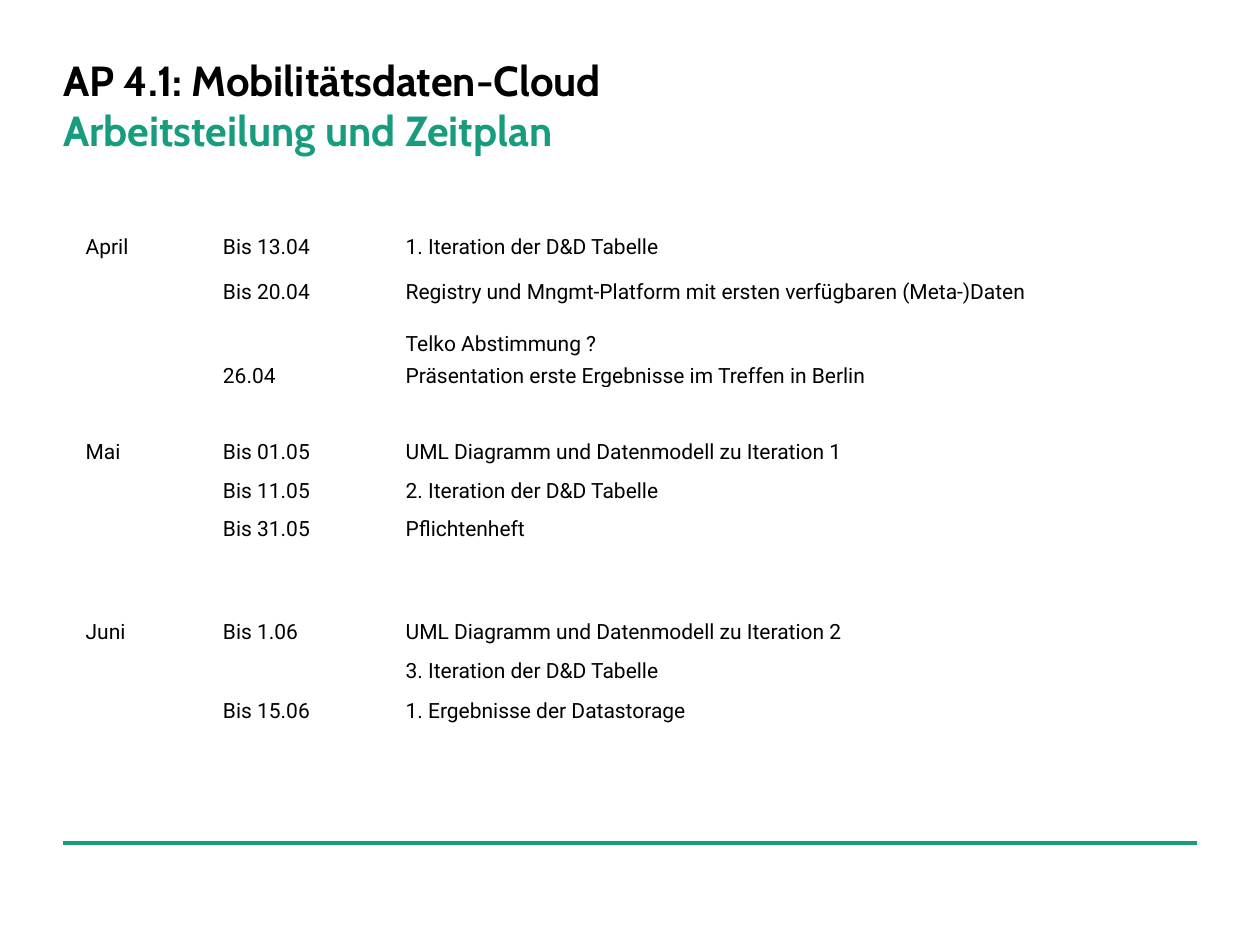
from dataclasses import dataclass

from lxml import etree
from pptx import Presentation
from pptx.dml.color import RGBColor
from pptx.enum.shapes import MSO_CONNECTOR
from pptx.enum.text import MSO_ANCHOR, MSO_AUTO_SIZE, PP_ALIGN
from pptx.oxml.ns import qn
from pptx.util import Inches, Pt

STRAIGHT = MSO_CONNECTOR.STRAIGHT
TOP, BOTTOM = MSO_ANCHOR.TOP, MSO_ANCHOR.BOTTOM
NO_FIT = MSO_AUTO_SIZE.NONE
LEFT = PP_ALIGN.LEFT
TITLE_ONLY = 5
BORDERS = ("a:lnL", "a:lnR", "a:lnT", "a:lnB")


@dataclass(frozen=True)
class Theme:
    ink: str = "000000"
    accent: str = "179C7D"
    paper: str = "FFFFFF"
    head_font: str = "Cabin"
    body_font: str = "Roboto"
    head_size: int = 24
    body_size: int = 12
    rule_width: float = 2.5
    border_width: float = 1
    cell_inset: float = 0.01


SCHEDULE = [
    (0.31, "April", "Bis 13.04", "1. Iteration der D&D Tabelle"),
    (0.36, "", "Bis 20.04", "Registry und Mngmt-Platform mit ersten verfügbaren (Meta-)Daten"),
    (0.17, "", "", ""),
    (0.13, "", "", "Telko Abstimmung ?"),
    (0.25, "", "26.04", "Präsentation erste Ergebnisse im Treffen in Berlin"),
    (0.61, "Mai", "Bis 01.05", "UML Diagramm und Datenmodell zu Iteration 1"),
    (0.31, "", "Bis 11.05", "2. Iteration der D&D Tabelle"),
    (0.30, "", "Bis 31.05", "Pflichtenheft"),
    (0.20, "", "", ""),
    (0.61, "Juni", "Bis 1.06", "UML Diagramm und Datenmodell zu Iteration 2"),
    (0.31, "", "", "3. Iteration der D&D Tabelle"),
    (0.32, "", "Bis 15.06", "1. Ergebnisse der Datastorage"),
]
COLUMNS = (1.09, 1.45, 5.62)


def add_text(p, text, *, font, size, color, bold=False):
    """Append text to a paragraph, or size its end mark when the text is empty."""
    if not text:
        end = etree.SubElement(p._p, qn("a:endParaRPr"), sz=str(size * 100))
        etree.SubElement(end, qn("a:latin"), typeface=font)
        return
    r = p.add_run()
    r.text = text
    r.font.name, r.font.size, r.font.bold = font, Pt(size), bold
    r.font.color.rgb = RGBColor.from_string(color)


class SlideBuilder:
    """Places styled elements on one slide, in inches."""

    def __init__(self, prs, theme):
        """Start a title-only slide."""
        self.theme = theme
        self.slide = prs.slides.add_slide(prs.slide_layouts[TITLE_ONLY])

    def title(self, box, lines):
        """Fill the title with lines of (text, colour)."""
        t, sp = self.theme, self.slide.shapes.title
        sp.left, sp.top, sp.width, sp.height = map(Inches, box)
        tf = sp.text_frame
        tf.margin_left = tf.margin_right = tf.margin_top = tf.margin_bottom = 0
        tf.vertical_anchor, tf.auto_size, tf.word_wrap = TOP, NO_FIT, True
        p = tf.paragraphs[0]
        p.alignment = LEFT
        for i, (text, color) in enumerate(lines):
            if i:
                p.add_line_break()
            add_text(p, text, font=t.head_font, size=t.head_size, color=color, bold=True)

    def rule(self, left, right, y):
        """Draw a horizontal accent line."""
        ln = self.slide.shapes.add_connector(
            STRAIGHT, Inches(left), Inches(y), Inches(right), Inches(y))
        ln.line.color.rgb = RGBColor.from_string(self.theme.accent)
        ln.line.width = Pt(self.theme.rule_width)
        etree.SubElement(ln._element.spPr, qn("a:effectLst"))

    def table(self, left, top, columns, rows):
        """Add a plain table from rows of (height, *texts)."""
        size = sum(columns), sum(row[0] for row in rows)
        tbl = self.slide.shapes.add_table(
            len(rows), len(columns), *map(Inches, (left, top, *size))).table
        tbl.first_row = tbl.horz_banding = False
        for col, width in zip(tbl.columns, columns):
            col.width = Inches(width)
        for row, (height, *texts) in zip(tbl.rows, rows):
            row.height = Inches(height)
            for cell, text in zip(row.cells, texts):
                self.cell(cell, text)

    def cell(self, cell, text):
        """Format one table cell."""
        t = self.theme
        cell.margin_left = cell.margin_right = cell.margin_top = Inches(t.cell_inset)
        cell.margin_bottom = 0
        cell.vertical_anchor = BOTTOM
        pr = cell._tc.get_or_add_tcPr()
        for tag in BORDERS:
            ln = etree.SubElement(pr, qn(tag), w=str(Pt(t.border_width)))
            fill = etree.SubElement(ln, qn("a:solidFill"))
            etree.SubElement(fill, qn("a:srgbClr"), val=t.paper)
        cell.fill.background()
        add_text(cell.text_frame.paragraphs[0], text,
                 font=t.body_font, size=t.body_size, color=t.ink)


def main():
    """Build the schedule slide."""
    prs = Presentation()
    prs.slide_width, prs.slide_height = Inches(10), Inches(7.5)
    theme = Theme()
    s = SlideBuilder(prs, theme)
    s.rule(0.5, 9.5, 6.69)
    s.title((0.5, 0.43, 8.99, 1), [
        ("AP 4.1: Mobilitätsdaten-Cloud", theme.ink),
        ("Arbeitsteilung und Zeitplan", theme.accent),
    ])
    s.table(0.67, 1.75, COLUMNS, SCHEDULE)
    prs.save("out.pptx")


if __name__ == "__main__":
    main()
